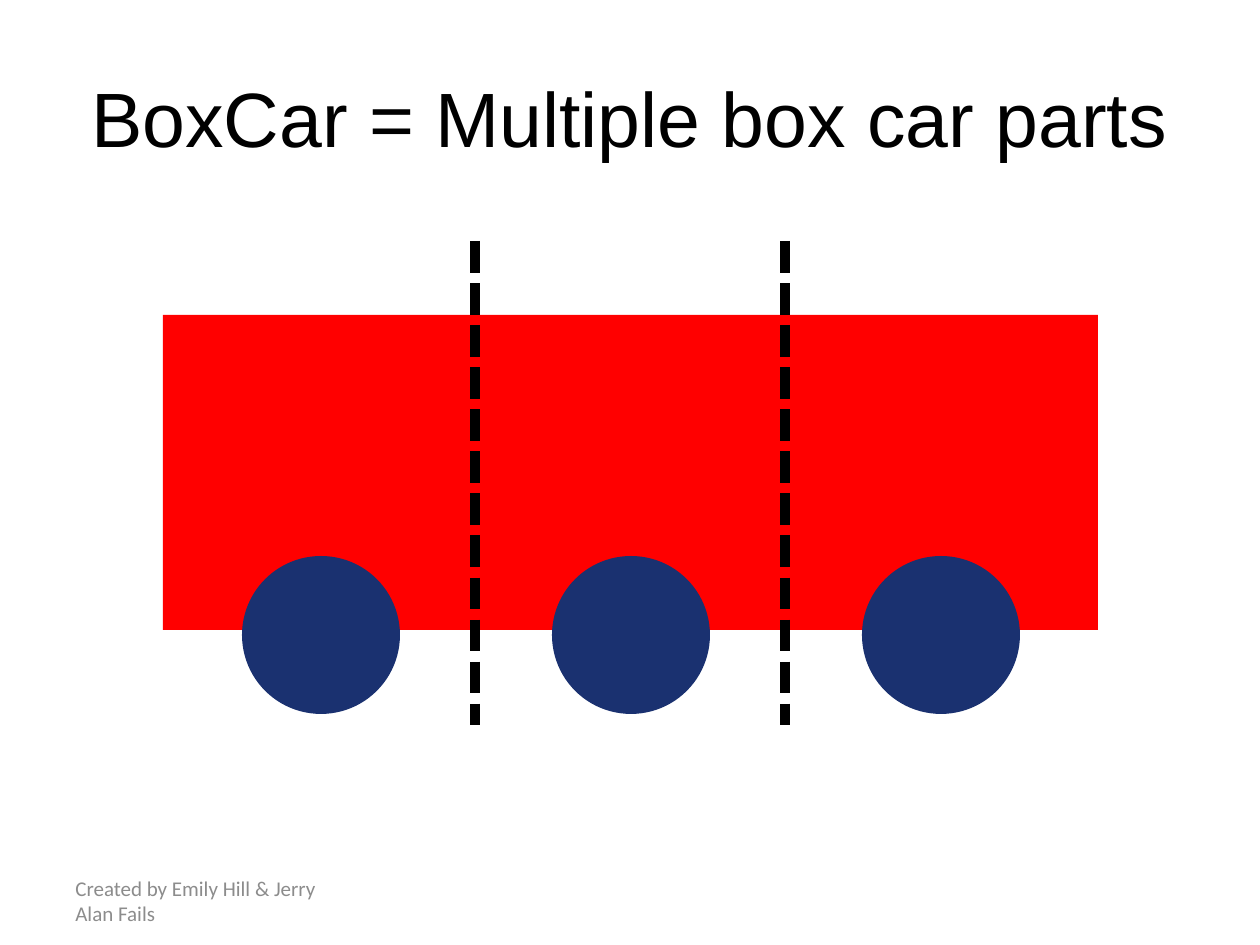
from dataclasses import dataclass

from lxml.etree import SubElement
from pptx import Presentation
from pptx.dml.color import RGBColor
from pptx.enum.dml import MSO_LINE
from pptx.enum.shapes import MSO_CONNECTOR, MSO_SHAPE
from pptx.enum.text import MSO_ANCHOR, MSO_AUTO_SIZE, PP_ALIGN
from pptx.oxml.ns import qn
from pptx.util import Inches, Pt

PX = Inches(1) // 126  # EMU per pixel


@dataclass(frozen=True)
class Theme:
    title_font: str = "Arial"
    note_font: str = "Calibri"
    title_size: int = 44
    note_size: int = 12
    ink: str = "000000"
    grey: str = "8C8C8C"
    body: str = "FF0000"
    wheel: str = "1A3170"
    divider_width: int = 6


class Deck:
    def __init__(self, prs, theme):
        self.theme = theme
        self.slide = prs.slides.add_slide(prs.slide_layouts[5])

    def add_text(self, sp, text, font, size, color, align):
        tf = sp.text_frame
        tf.word_wrap = True
        tf.auto_size = MSO_AUTO_SIZE.NONE
        tf.vertical_anchor = MSO_ANCHOR.MIDDLE
        p = tf.paragraphs[0]
        p.alignment = align
        r = p.add_run()
        r.text = text
        r.font.name = font
        r.font.size = Pt(size)
        r.font.color.rgb = RGBColor.from_string(color)

    def title(self, text, x, y, w, h):
        sp = self.slide.shapes.title
        sp.left, sp.top, sp.width, sp.height = (v * PX for v in (x, y, w, h))
        t = self.theme
        self.add_text(sp, text, t.title_font, t.title_size, t.ink, PP_ALIGN.CENTER)

    def note(self, text, x, y, w, h):
        sp = self.slide.shapes.add_textbox(x * PX, y * PX, w * PX, h * PX)
        t = self.theme
        self.add_text(sp, text, t.note_font, t.note_size, t.grey, PP_ALIGN.LEFT)

    def group(self):
        return self.slide.shapes.add_group_shape()

    def shape(self, group, kind, x, y, w, h, color):
        sp = group.shapes.add_shape(kind, x * PX, y * PX, w * PX, h * PX)
        sp.shadow.inherit = False
        sp.fill.solid()
        sp.fill.fore_color.rgb = RGBColor.from_string(color)
        sp.line.fill.background()

    def divider(self, x, top, bottom):
        line = self.slide.shapes.add_connector(
            MSO_CONNECTOR.STRAIGHT, x * PX, top * PX, x * PX, bottom * PX)
        line.line.color.rgb = RGBColor.from_string(self.theme.ink)
        line.line.width = Pt(self.theme.divider_width)
        line.line.dash_style = MSO_LINE.SQUARE_DOT
        SubElement(line._element.spPr, qn("a:effectLst"))


prs = Presentation()
prs.slide_width, prs.slide_height = Inches(10), Inches(7.5)
theme = Theme()
deck = Deck(prs, theme)

# Title and credit
deck.title("BoxCar = Multiple box car parts", 63, 38, 1134, 157)
deck.note("Created by Emily Hill & Jerry Alan Fails", 63, 876, 294, 50)

# Car parts: a body with one wheel centred on it
PARTS, LEFT, PITCH = 3, 163, 310
BODY, BODY_TOP = 315, 315
WHEEL, WHEEL_TOP = 158, 556
for i in range(PARTS):
    x = LEFT + i * PITCH
    part = deck.group()
    deck.shape(part, MSO_SHAPE.RECTANGLE, x, BODY_TOP, BODY, BODY, theme.body)
    deck.shape(part, MSO_SHAPE.OVAL, x + (BODY - WHEEL + 1) // 2, WHEEL_TOP,
               WHEEL, WHEEL, theme.wheel)

# Dashed dividers, centred where neighbouring parts overlap
for i in range(1, PARTS):
    deck.divider(LEFT + i * PITCH + (BODY - PITCH) // 2, 241, 725)

prs.save("out.pptx")
